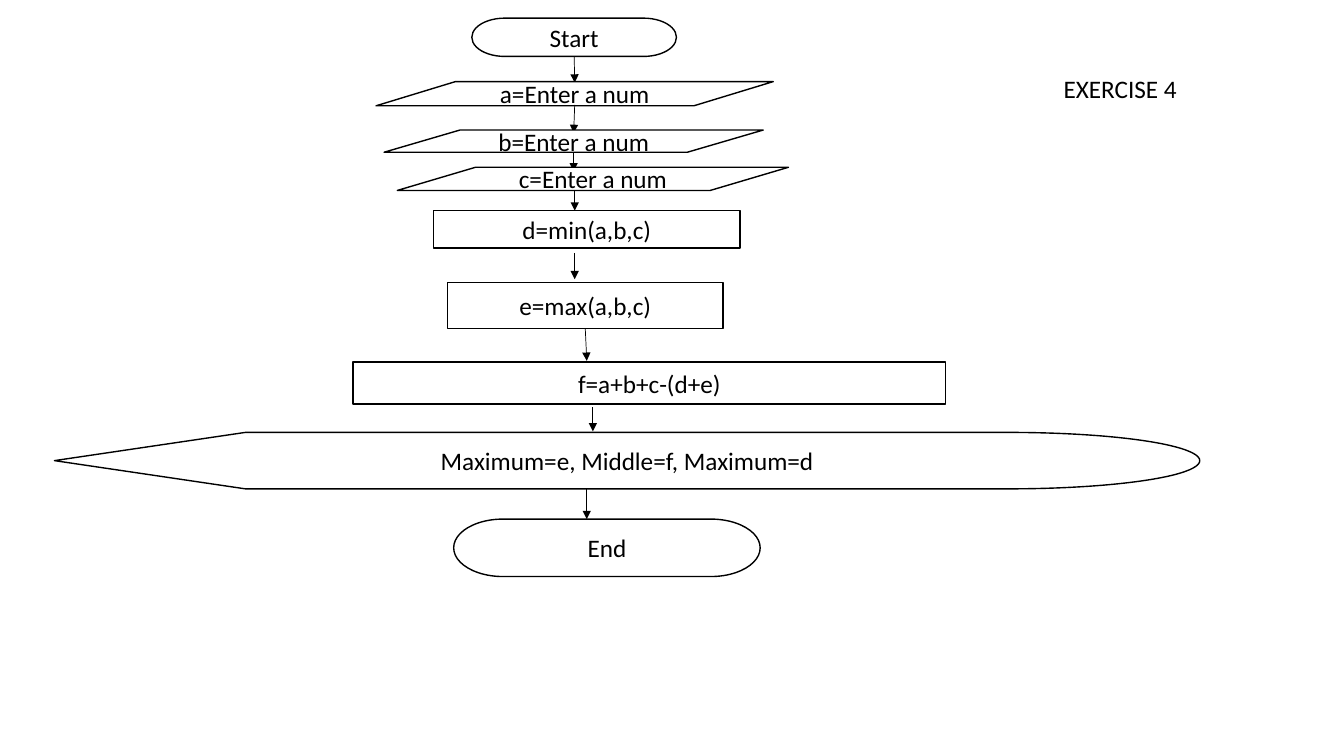
import pptx
import pptx.util
import pptx.dml.color
import pptx.enum.shapes
import pptx.enum.text
import pptx.oxml.ns
import lxml.etree

PX = 9144
BLACK = pptx.dml.color.RGBColor(0, 0, 0)
WHITE = pptx.dml.color.RGBColor(255, 255, 255)
KINDS = pptx.enum.shapes.MSO_SHAPE
FONT = {"name": "Calibri", "size": pptx.util.Pt(18)}
FRAME = {"word_wrap": True, "vertical_anchor": pptx.enum.text.MSO_ANCHOR.MIDDLE}


def write(box, text, alignment):
    para = box.text_frame.paragraphs[0]
    para.alignment = alignment
    span = para.add_run()
    span.text = text
    for name, value in FONT.items():
        setattr(span.font, name, value)
    span.font.color.rgb = BLACK


deck = pptx.Presentation()
deck.slide_width = 1333 * PX
deck.slide_height = 750 * PX
page = deck.slides.add_slide(deck.slide_layouts[6])

steps = [
    ("Start", KINDS.FLOWCHART_TERMINATOR, 468, 18, 203, 38),
    ("a=Enter a num", KINDS.FLOWCHART_DATA, 373, 81, 394, 24),
    ("b=Enter a num", KINDS.FLOWCHART_DATA, 381, 129, 376, 22),
    ("c=Enter a num", KINDS.FLOWCHART_DATA, 394, 166, 388, 23),
    ("d=min(a,b,c)", KINDS.RECTANGLE, 430, 209, 304, 37),
    ("e=max(a,b,c)", KINDS.RECTANGLE, 444, 280, 273, 46),
    ("f=a+b+c-(d+e)", KINDS.RECTANGLE, 350, 359, 588, 42),
    ("Maximum=e, Middle=f, Maximum=d", KINDS.FLOWCHART_DISPLAY, 54, 429, 1136, 56),
    ("End", KINDS.FLOWCHART_TERMINATOR, 450, 515, 304, 57),
]
arrows = [
    (569, 56, 570, 82),
    (570, 104, 569, 132),
    (569, 151, 569, 170),
    (570, 189, 570, 209),
    (570, 251, 570, 277),
    (581, 326, 582, 358),
    (588, 404, 588, 428),
    (582, 485, 582, 515),
]
joined_below = ("Start", "e=max(a,b,c)")

for index, (text, kind, *place) in enumerate(steps):
    box = page.shapes.add_shape(kind, *[length * PX for length in place])
    box.shadow.inherit = False
    box.fill.solid()
    box.fill.fore_color.rgb = WHITE
    box.line.color.rgb = BLACK
    box.line.width = pptx.util.Pt(1)
    for name, value in FRAME.items():
        setattr(box.text_frame, name, value)
    write(box, text, pptx.enum.text.PP_ALIGN.CENTER)

    if index < len(arrows):
        arrow = page.shapes.add_connector(
            pptx.enum.shapes.MSO_CONNECTOR.STRAIGHT,
            *[length * PX for length in arrows[index]])
        if text in joined_below:
            arrow.begin_connect(box, 2)
        arrow.line.color.rgb = BLACK
        arrow.line.width = pptx.util.Pt(0.5)
        outline = arrow.line._get_or_add_ln()
        lxml.etree.SubElement(outline, pptx.oxml.ns.qn("a:tailEnd"), type="triangle")
        lxml.etree.SubElement(arrow._element.spPr, pptx.oxml.ns.qn("a:effectLst"))

title = page.shapes.add_textbox(1045 * PX, 68 * PX, 240 * PX, 40 * PX)
title.text_frame.word_wrap = True
title.text_frame.auto_size = pptx.enum.text.MSO_AUTO_SIZE.SHAPE_TO_FIT_TEXT
write(title, "EXERCISE 4", pptx.enum.text.PP_ALIGN.LEFT)

deck.save("out.pptx")
